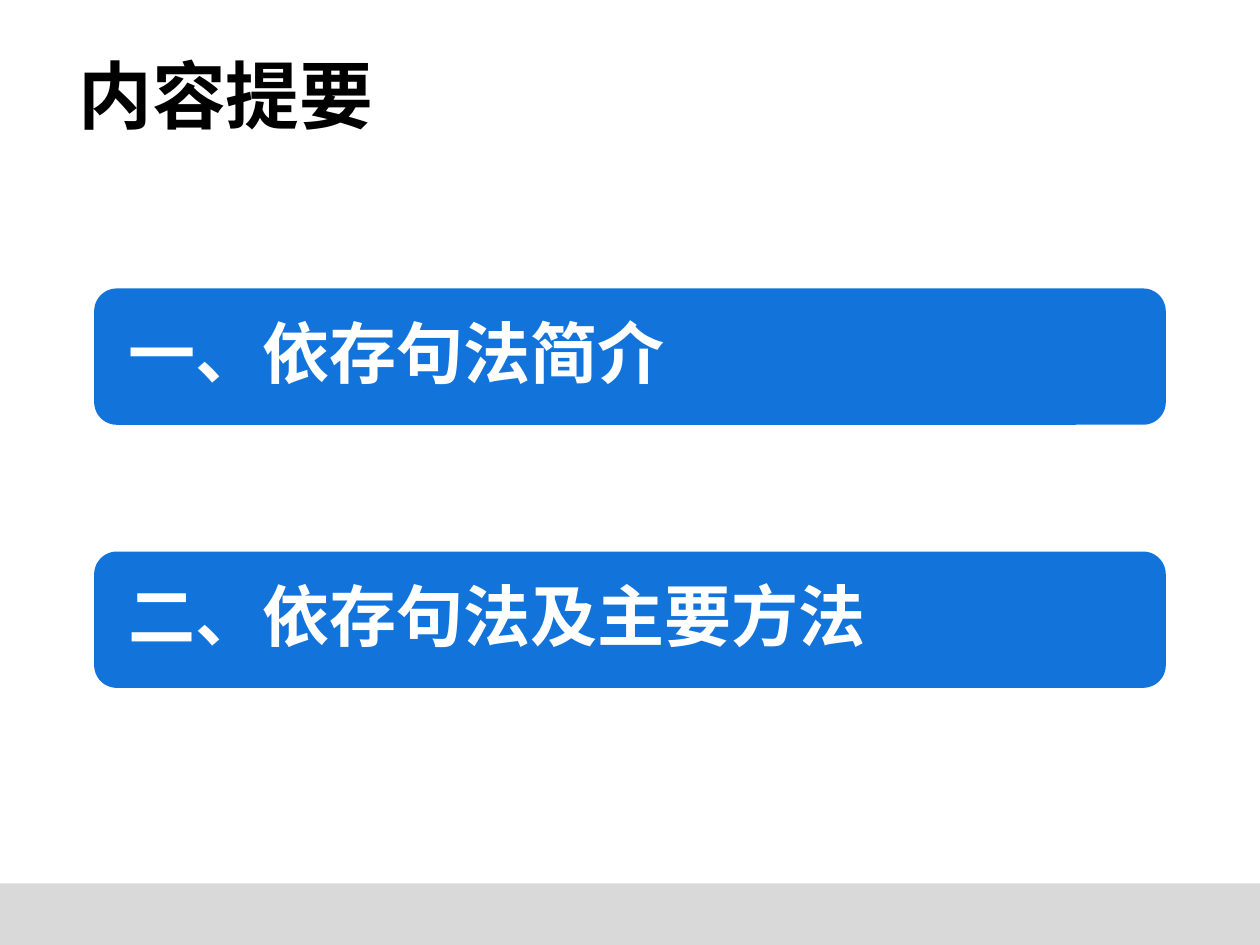
from lxml import etree
from pptx import Presentation, util as u
from pptx.dml.color import RGBColor
from pptx.enum import shapes, text
from pptx.oxml.ns import qn

TITLE = "内容提要"
TOPICS = ["一、依存句法简介", "二、依存句法及主要方法"]
FONT = "Noto Sans CJK SC"
COLOURS = {"footer": "D9D9D9", "bar": "1274DB", "title": "000000", "topic": "FFFFFF"}
WIDTH, HEIGHT = 10.44, 7.83
FOOTER_HEIGHT = 0.51
TITLE_PLACE = (0.57, 0.43, 2.63, 0.7)
BAR_LEFT, BAR_TOP, BAR_HEIGHT, BAR_STEP = 0.78, 2.39, 1.13, 2.18
TITLE_INSETS = {"margin_left": 0.08, "margin_right": 0, "margin_top": 0, "margin_bottom": 0}
TOPIC_INSETS = {"margin_left": 0.23, "margin_right": 0.17, "margin_top": 0.17, "margin_bottom": 0.17}


def add_block(page, kind, place, colour):
    block = page.shapes.add_shape(kind, *map(u.Inches, place))
    block.shadow.inherit = False
    block.fill.solid()
    block.fill.fore_color.rgb = RGBColor.from_string(COLOURS[colour])
    block.line.fill.background()
    return block


def write(box, words, size, colour, insets, wrap, spacing):
    frame = box.text_frame
    frame.auto_size = text.MSO_AUTO_SIZE.NONE
    frame.word_wrap = wrap
    frame.vertical_anchor = text.MSO_ANCHOR.MIDDLE
    for name, value in insets.items():
        setattr(frame, name, u.Inches(value))
    para = frame.paragraphs[0]
    para.alignment = text.PP_ALIGN.LEFT
    para.line_spacing = spacing
    span = para.add_run()
    span.text = words
    for name, value in {"name": FONT, "size": u.Pt(size), "bold": True}.items():
        setattr(span.font, name, value)
    span.font.color.rgb = RGBColor.from_string(COLOURS[colour])
    etree.SubElement(span.font._element, qn("a:ea"), typeface=FONT)


def main():
    deck = Presentation()
    deck.slide_width, deck.slide_height = u.Inches(WIDTH), u.Inches(HEIGHT)
    page = deck.slides.add_slide(deck.slide_layouts[5])

    footer = (0, HEIGHT - FOOTER_HEIGHT, WIDTH, FOOTER_HEIGHT)
    add_block(page, shapes.MSO_SHAPE.RECTANGLE, footer, "footer")

    title = page.shapes.title
    for side, value in zip(("left", "top", "width", "height"), TITLE_PLACE):
        setattr(title, side, u.Inches(value))
    write(title, TITLE, 44, "title", TITLE_INSETS, False, 1.0)

    for row, topic in enumerate(TOPICS):
        place = (BAR_LEFT, BAR_TOP + row * BAR_STEP, WIDTH - 2 * BAR_LEFT, BAR_HEIGHT)
        bar = add_block(page, shapes.MSO_SHAPE.ROUNDED_RECTANGLE, place, "bar")
        write(bar, topic, 40, "topic", TOPIC_INSETS, True, 0.9)

    deck.save("out.pptx")


if __name__ == "__main__":
    main()
